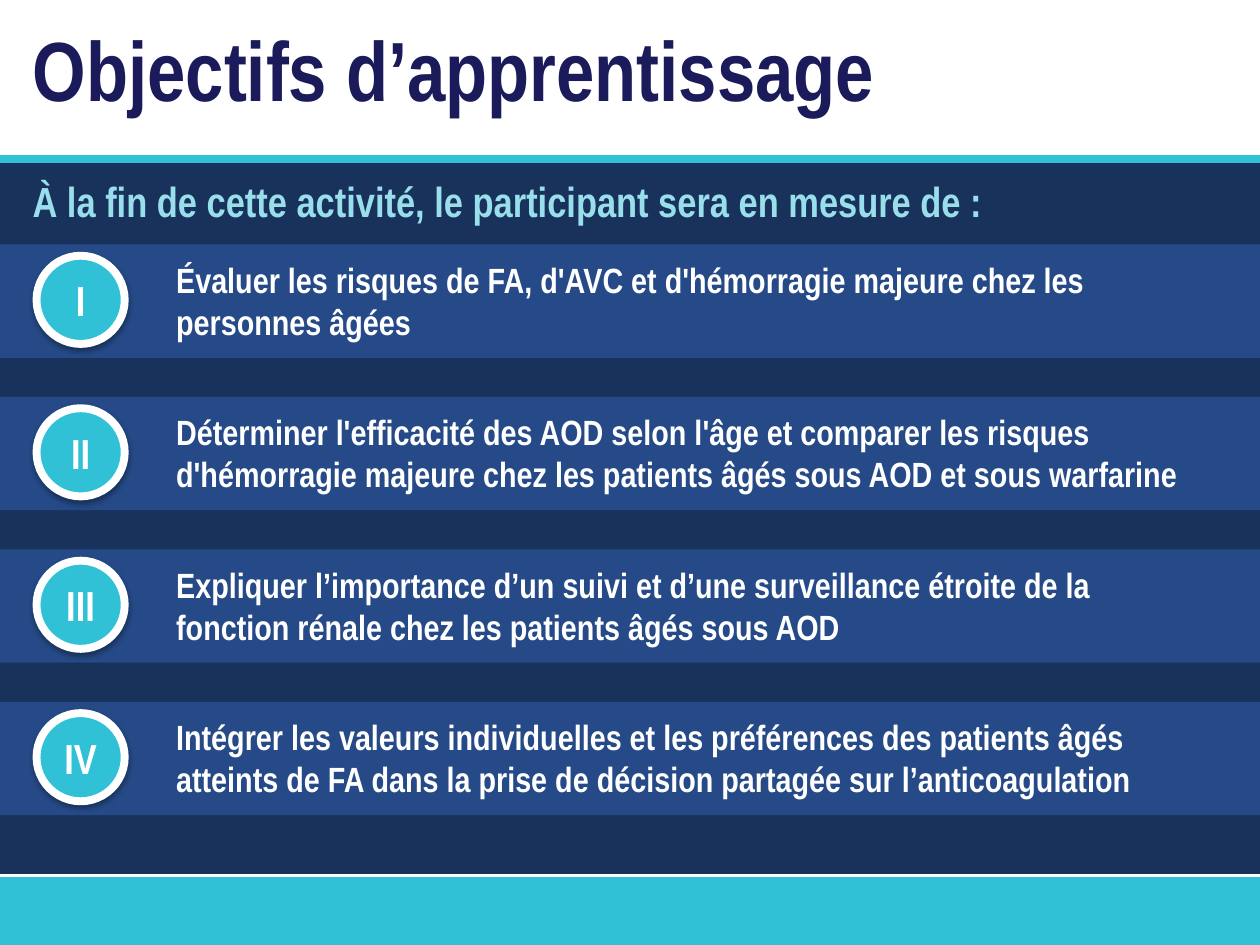
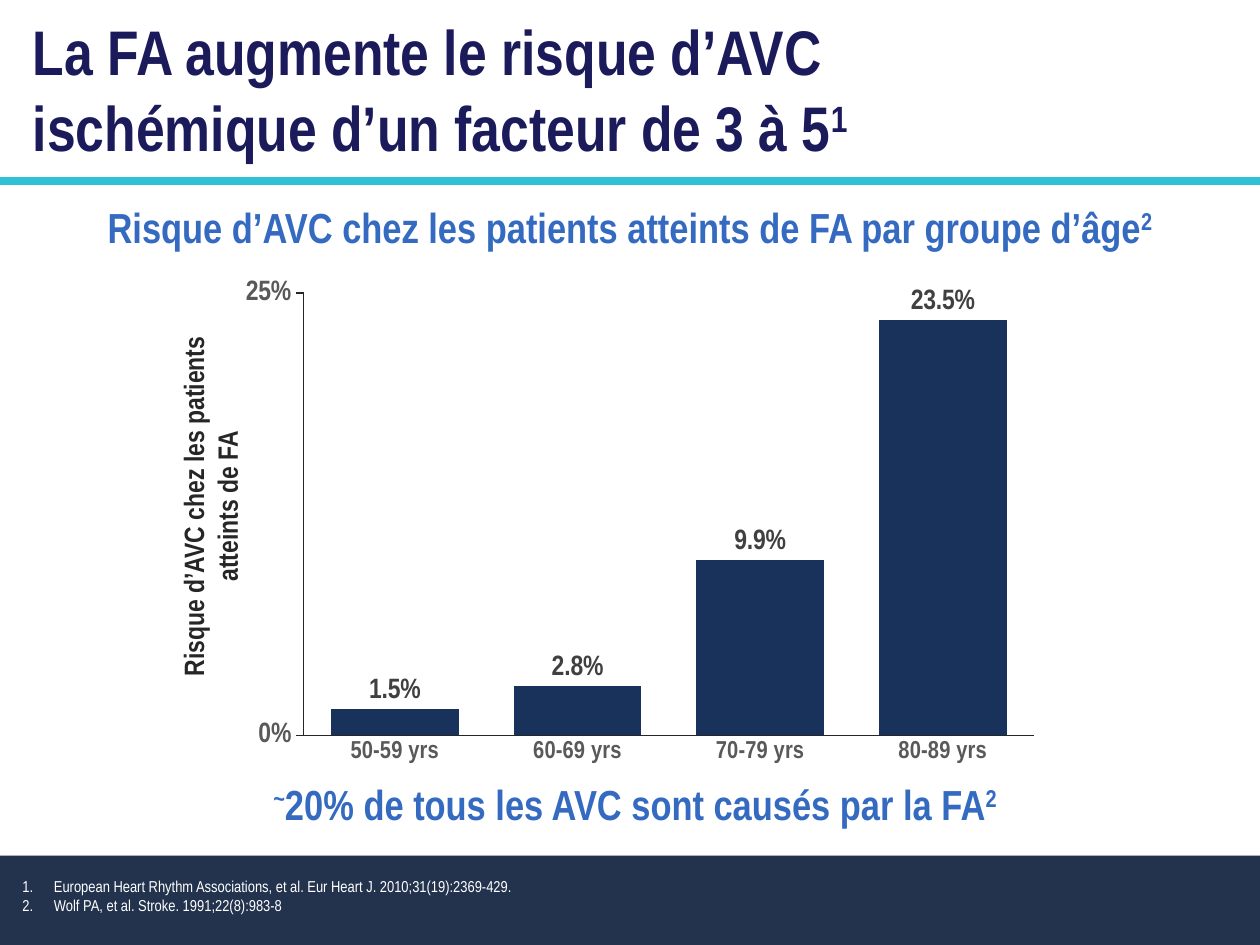
from pptx import Presentation
from pptx import util as u
from pptx.chart import data as chart_data
from pptx.dml.color import RGBColor
from pptx.enum import chart as ch, shapes, text
from pptx.oxml import parse_xml
from pptx.oxml.ns import nsdecls, qn

WIDTH, HEIGHT = 10, 7.5
FONT = "Arial Narrow"
NAVY, TURQUOISE, WHITE = "19325C", "30C1D7", "FFFFFF"
ROW_BLUE, TITLE_BLUE, HEADING_BLUE, PALE = "254A87", "1B1A5A", "356AC1", "99DFEB"
FOOTER_NAVY, INK, AXIS_GREY, LABEL_GREY = "23334E", "262626", "595959", "404040"

GOALS = {
    "title": "Objectifs d’apprentissage",
    "intro": "À la fin de cette activité, le participant sera en mesure de :",
    "goals": [
        ("I", "Évaluer les risques de FA, d'AVC et d'hémorragie majeure chez les personnes âgées"),
        ("II", "Déterminer l'efficacité des AOD selon l'âge et comparer les risques "
               "d'hémorragie majeure chez les patients âgés sous AOD et sous warfarine"),
        ("III", "Expliquer l’importance d’un suivi et d’une surveillance étroite de la "
                "fonction rénale chez les patients âgés sous AOD"),
        ("IV", "Intégrer les valeurs individuelles et les préférences des patients âgés "
               "atteints de FA dans la prise de décision partagée sur l’anticoagulation"),
    ],
}
RISK = {
    "title": "La FA augmente le risque d’AVC ischémique d’un facteur de 3 à 5^1^",
    "heading": "Risque d’AVC chez les patients atteints de FA par groupe d’âge^2^",
    "axis": "Risque d’AVC chez les patients atteints de FA",
    "message": "^~^20% de tous les AVC sont causés par la FA^2^",
    "ages": ["50-59 yrs", "60-69 yrs", "70-79 yrs", "80-89 yrs"],
    "rates": [0.015, 0.028, 0.099, 0.235],
    "sources": [
        "European Heart Rhythm Associations, et al. Eur Heart J. 2010;31(19):2369-429.",
        "Wolf PA, et al. Stroke. 1991;22(8):983-8",
    ],
}
ROW_TOP, ROW_STEP, ROW_HEIGHT, BADGE = 1.94, 1.21, 0.9, 0.7


def color(value):
    return RGBColor.from_string(value)


def inches(*values):
    return [u.Inches(value) for value in values]


def style(font, size, fill, bold=True):
    font.name, font.size, font.bold = FONT, u.Pt(size), bold
    font.color.rgb = color(fill)


def write(frame, lines, size, fill, bold=True, align="LEFT", anchor="TOP",
          inset=None, spacing=None, numbered=False, vert=None):
    frame.word_wrap = True
    frame.auto_size = text.MSO_AUTO_SIZE.NONE
    frame.vertical_anchor = getattr(text.MSO_ANCHOR, anchor)
    if inset is not None:
        frame.margin_left = frame.margin_right = u.Inches(inset)
    if vert:
        frame._txBody.bodyPr.set("vert", vert)
    for index, line in enumerate([lines] if isinstance(lines, str) else lines):
        paragraph = frame.add_paragraph() if index else frame.paragraphs[0]
        paragraph.alignment = getattr(text.PP_ALIGN, align)
        if spacing:
            paragraph.line_spacing = u.Pt(spacing)
        if numbered:
            properties = paragraph._p.get_or_add_pPr()
            properties.set("marL", str(u.Inches(0.25)))
            properties.set("indent", str(-u.Inches(0.25)))
            properties.append(parse_xml(f'<a:buAutoNum {nsdecls("a")} type="arabicPeriod"/>'))
        for part, words in enumerate(line.split("^")):
            if words:
                run = paragraph.add_run()
                run.text = words
                style(run.font, size, fill, bold)
                if part % 2:
                    run._r.get_or_add_rPr().set("baseline", "30000")


def add_text(slide, box, lines, **look):
    write(slide.shapes.add_textbox(*inches(*box)).text_frame, lines, **look)


def add_title(prs, words, box, size):
    slide = prs.slides.add_slide(prs.slide_layouts[5])
    title = slide.shapes.title
    title.left, title.top, title.width, title.height = inches(*box)
    write(title.text_frame, words, size=size, fill=TITLE_BLUE)
    return slide


def add_block(slide, box, fill, outline=None, shadow=False, kind="RECTANGLE"):
    block = slide.shapes.add_shape(getattr(shapes.MSO_SHAPE, kind), *inches(*box))
    block.fill.solid()
    block.fill.fore_color.rgb = color(fill)
    if outline:
        block.line.color.rgb = color(outline)
        block.line.width = u.Pt(4.5)
    else:
        block.line.fill.background()
    block.shadow.inherit = False
    if shadow:
        block._element.spPr.find(qn("a:effectLst")).append(parse_xml(
            f'<a:outerShdw {nsdecls("a")} blurRad="40000" dist="23000" dir="5400000" '
            'rotWithShape="0"><a:srgbClr val="000000"><a:alpha val="35000"/></a:srgbClr>'
            '</a:outerShdw>'))
    return block


def add_rule(slide, y, fill, weight):
    rule = slide.shapes.add_connector(shapes.MSO_CONNECTOR.STRAIGHT, *inches(0, y, WIDTH, y))
    rule.line.color.rgb = color(fill)
    rule.line.width = u.Pt(weight)
    rule._element.spPr.append(parse_xml(f'<a:effectLst {nsdecls("a")}/>'))


def build_goals(prs):
    slide = add_title(prs, GOALS["title"], (0.16, 0.09, 8.82, 0.91), 48)
    add_block(slide, (0, 1.26, WIDTH, 5.7), NAVY)
    add_block(slide, (0, 6.96, WIDTH, HEIGHT - 6.96), TURQUOISE, shadow=True)
    add_rule(slide, 1.26, TURQUOISE, 4.5)
    add_rule(slide, 6.95, WHITE, 1.5)
    add_text(slide, (0.16, 1.34, 9.49, 0.6), GOALS["intro"], size=24, fill=PALE)
    for index, (numeral, goal) in enumerate(GOALS["goals"]):
        top = ROW_TOP + index * ROW_STEP
        add_block(slide, (0, top, WIDTH, ROW_HEIGHT), ROW_BLUE)
        badge = add_block(slide, (0.29, top + 0.09, BADGE, BADGE), TURQUOISE, outline=WHITE,
                          shadow=True, kind="FLOWCHART_CONNECTOR")
        write(badge.text_frame, numeral, size=24, fill=WHITE, align="CENTER",
              anchor="MIDDLE", inset=0)
        add_text(slide, (1.3, top + 0.06, 8.34, 0.77), goal, size=20, fill=WHITE)


def format_axis(axis, size, tick):
    axis.has_major_gridlines = False
    axis.major_tick_mark = tick
    axis.minor_tick_mark = ch.XL_TICK_MARK.NONE
    axis.format.line.color.rgb = color(INK)
    axis.format.line.width = u.Pt(0.75)
    style(axis.tick_labels.font, size, AXIS_GREY)


def add_rates(slide):
    data = chart_data.CategoryChartData(number_format="0.0%")
    data.categories = RISK["ages"]
    data.add_series("Series 1", RISK["rates"])
    chart = slide.shapes.add_chart(ch.XL_CHART_TYPE.COLUMN_CLUSTERED,
                                   *inches(1.75, 2.12, 6.59, 4.13), data).chart
    chart.has_title = chart.has_legend = False
    style(chart.font, 10, "000000", False)
    chart.font.name = "Calibri"
    format_axis(chart.category_axis, 14, ch.XL_TICK_MARK.NONE)
    rate_axis = chart.value_axis
    format_axis(rate_axis, 16, ch.XL_TICK_MARK.OUTSIDE)
    rate_axis.minimum_scale, rate_axis.maximum_scale, rate_axis.major_unit = 0, 0.25, 0.25
    rate_axis.tick_labels.number_format = "0%"
    rate_axis.tick_labels.number_format_is_linked = False

    plot = chart.plots[0]
    plot.gap_width, plot.overlap, plot.vary_by_categories = 43, -27, False
    bars = plot.series[0]
    bars.format.fill.solid()
    bars.format.fill.fore_color.rgb = color(NAVY)
    labels = bars.data_labels
    labels.show_value = True
    labels.position = ch.XL_LABEL_POSITION.OUTSIDE_END
    labels.number_format, labels.number_format_is_linked = "0.0%", False
    style(labels.font, 16, LABEL_GREY)

    area = chart._chartSpace.chart.plotArea
    for old in area.findall(qn("c:layout")):
        area.remove(old)
    places = "".join(f'<c:{name} val="{value}"/>' for name, value in [
        ("layoutTarget", "inner"), ("xMode", "edge"), ("yMode", "edge"),
        ("x", 0.1), ("y", 0.05), ("w", 0.88), ("h", 0.85)])
    area.insert(0, parse_xml(f'<c:layout {nsdecls("c")}><c:manualLayout>{places}'
                             '</c:manualLayout></c:layout>'))


def build_risk(prs):
    slide = add_title(prs, RISK["title"], (0.16, 0.05, 7.16, 1.3), 36)
    add_block(slide, (0, 6.79, WIDTH, HEIGHT - 6.79), FOOTER_NAVY, shadow=True)
    add_rule(slide, 1.44, TURQUOISE, 4.5)
    add_text(slide, (0, 1.55, WIDTH, 0.5), RISK["heading"], size=24, fill=HEADING_BLUE,
             align="CENTER")
    add_rates(slide)
    add_text(slide, (1.35, 2.41, 0.74, 3.22), RISK["axis"], size=16, fill=INK,
             align="CENTER", vert="vert270")
    add_text(slide, (0.08, 6.36, WIDTH - 0.08, 0.4), RISK["message"], size=24,
             fill=HEADING_BLUE, align="CENTER", spacing=12)
    add_text(slide, (0.08, 6.91, 9.83, 0.4), RISK["sources"], size=9, fill=WHITE,
             bold=False, numbered=True)


def main():
    prs = Presentation()
    prs.slide_width, prs.slide_height = inches(WIDTH, HEIGHT)
    build_goals(prs)
    build_risk(prs)
    prs.save("out.pptx")


if __name__ == "__main__":
    main()
